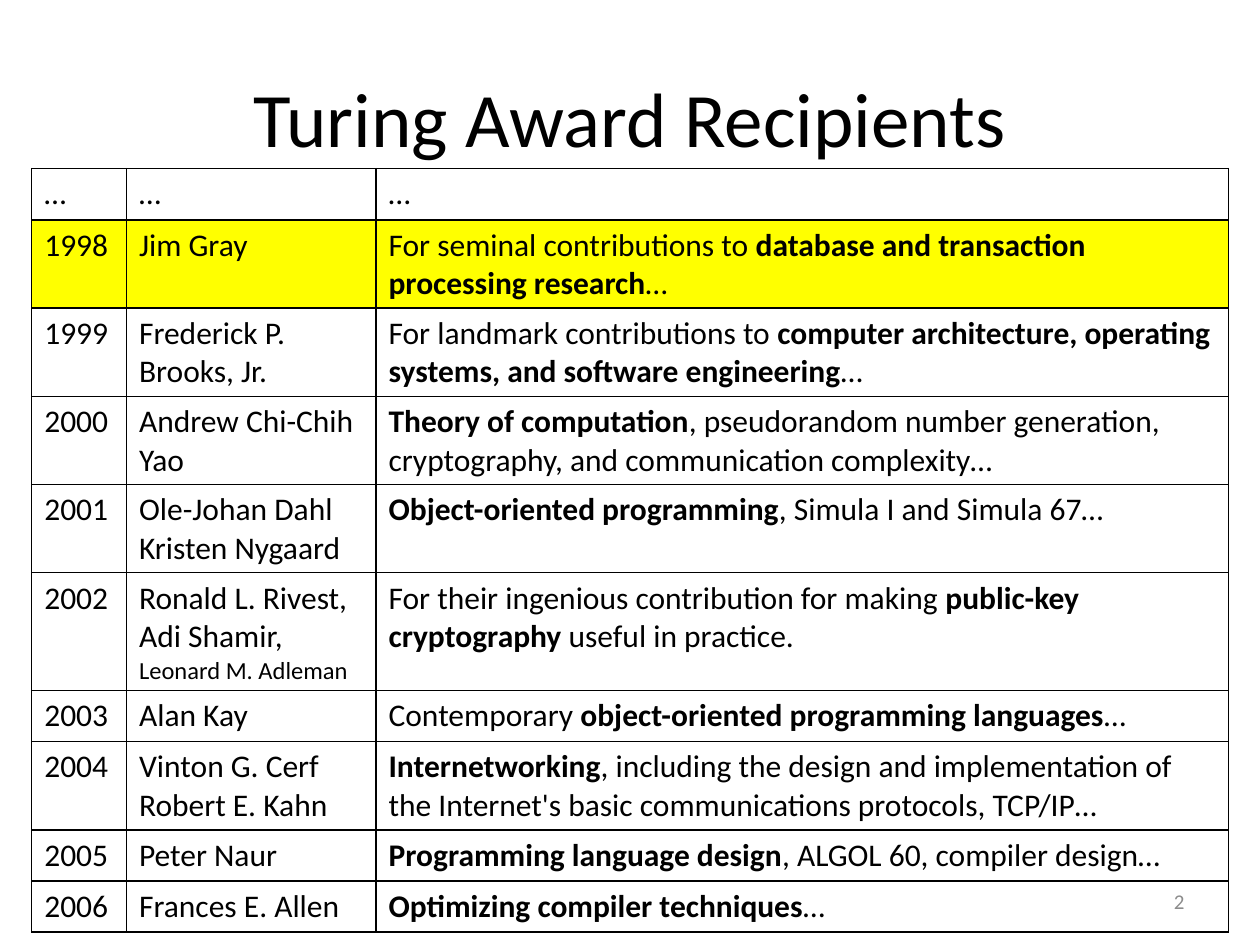
from lxml import etree
from pptx import Presentation
from pptx.dml.color import RGBColor
from pptx.enum.text import MSO_ANCHOR as ANCHOR, PP_ALIGN as ALIGN
from pptx.oxml import parse_xml
from pptx.util import Cm, Pt

BLACK = RGBColor(0x00, 0x00, 0x00)
GREY = RGBColor(0x8C, 0x8C, 0x8C)
YELLOW = RGBColor(0xFF, 0xFF, 0x00)
NS = "http://schemas.openxmlformats.org/drawingml/2006/main"


def write(p, text, size=18, color=BLACK, align=ALIGN.LEFT):
    """Add text to a paragraph; parts between asterisks are bold."""
    p.alignment = align
    for i, part in enumerate(text.split("*")):
        if part:
            r = p.add_run()
            r.text = part
            r.font.name = "Calibri"
            r.font.size = Pt(size)
            r.font.bold = i % 2 == 1
            r.font.color.rgb = color


def add_borders(cell):
    """Draw a 1 pt line on all four sides, placed before the cell fill."""
    tcPr = cell._tc.get_or_add_tcPr()
    for i, side in enumerate(("lnL", "lnR", "lnT", "lnB")):
        tcPr.insert(i, parse_xml(
            f'<a:{side} xmlns:a="{NS}" w="{Pt(1)}"><a:solidFill>'
            f'<a:srgbClr val="{BLACK}"/></a:solidFill></a:{side}>'))


prs = Presentation()
prs.slide_width, prs.slide_height = Cm(25.4), Cm(19.05)
s = prs.slides.add_slide(prs.slide_layouts[6])

# Recipients: year, names (one paragraph per line), contribution
recipients = [
    ("…", "…", "…"),
    ("1998", "Jim Gray",
     "For seminal contributions to *database and transaction processing research*…"),
    ("1999", "Frederick P. Brooks, Jr.",
     "For landmark contributions to *computer architecture, operating systems, "
     "and software engineering*…"),
    ("2000", "Andrew Chi-Chih Yao",
     "*Theory of computation*, pseudorandom number generation, cryptography, "
     "and communication complexity…"),
    ("2001", "Ole-Johan Dahl\nKristen Nygaard",
     "*Object-oriented programming*, Simula I and Simula 67…"),
    ("2002", "Ronald L. Rivest, Adi Shamir, ",
     "For their ingenious contribution for making *public-key cryptography* "
     "useful in practice."),
    ("2003", "Alan Kay", "Contemporary *object-oriented programming languages*…"),
    ("2004", "Vinton G. Cerf\nRobert E. Kahn",
     "*Internetworking*, including the design and implementation of the "
     "Internet's basic communications protocols, TCP/IP…"),
    ("2005", "Peter Naur", "*Programming language design*, ALGOL 60, compiler design…"),
    ("2006", "Frances E. Allen", "*Optimizing compiler techniques*…"),
]
highlighted_year = "1998"
col_widths = (1.91, 5.03, 17.19)
row_height = 1.03

# Title
sp = s.shapes.add_textbox(Cm(1.27), Cm(0.76), Cm(22.86), Cm(3.18))
tf = sp.text_frame
tf.word_wrap = True
tf.vertical_anchor = ANCHOR.MIDDLE
write(tf.paragraphs[0], "Turing Award Recipients", size=44, align=ALIGN.CENTER)

# Table
table = s.shapes.add_table(
    len(recipients), len(col_widths), Cm(0.64), Cm(3.4),
    Cm(sum(col_widths)), Cm(row_height * len(recipients))).table
table.first_row = table.horz_banding = False
for col, width in zip(table.columns, col_widths):
    col.width = Cm(width)
for row, values in zip(table.rows, recipients):
    row.height = Cm(row_height)
    for cell, text in zip(row.cells, values):
        tf = cell.text_frame
        for i, line in enumerate(text.split("\n")):
            write(tf.add_paragraph() if i else tf.paragraphs[0], line)
        if values[0] == highlighted_year:
            cell.fill.solid()
            cell.fill.fore_color.rgb = YELLOW
        else:
            cell.fill.background()
        add_borders(cell)

# Third name of 2002, set smaller to fit
write(table.cell(5, 1).text_frame.paragraphs[0], "Leonard M. Adleman", size=14)

# Slide number
sp = s.shapes.add_textbox(Cm(18.2), Cm(17.66), Cm(5.93), Cm(1.01))
tf = sp.text_frame
tf.word_wrap = True
tf.vertical_anchor = ANCHOR.MIDDLE
write(tf.paragraphs[0], "2", size=12, color=GREY, align=ALIGN.RIGHT)

prs.save("out.pptx")
